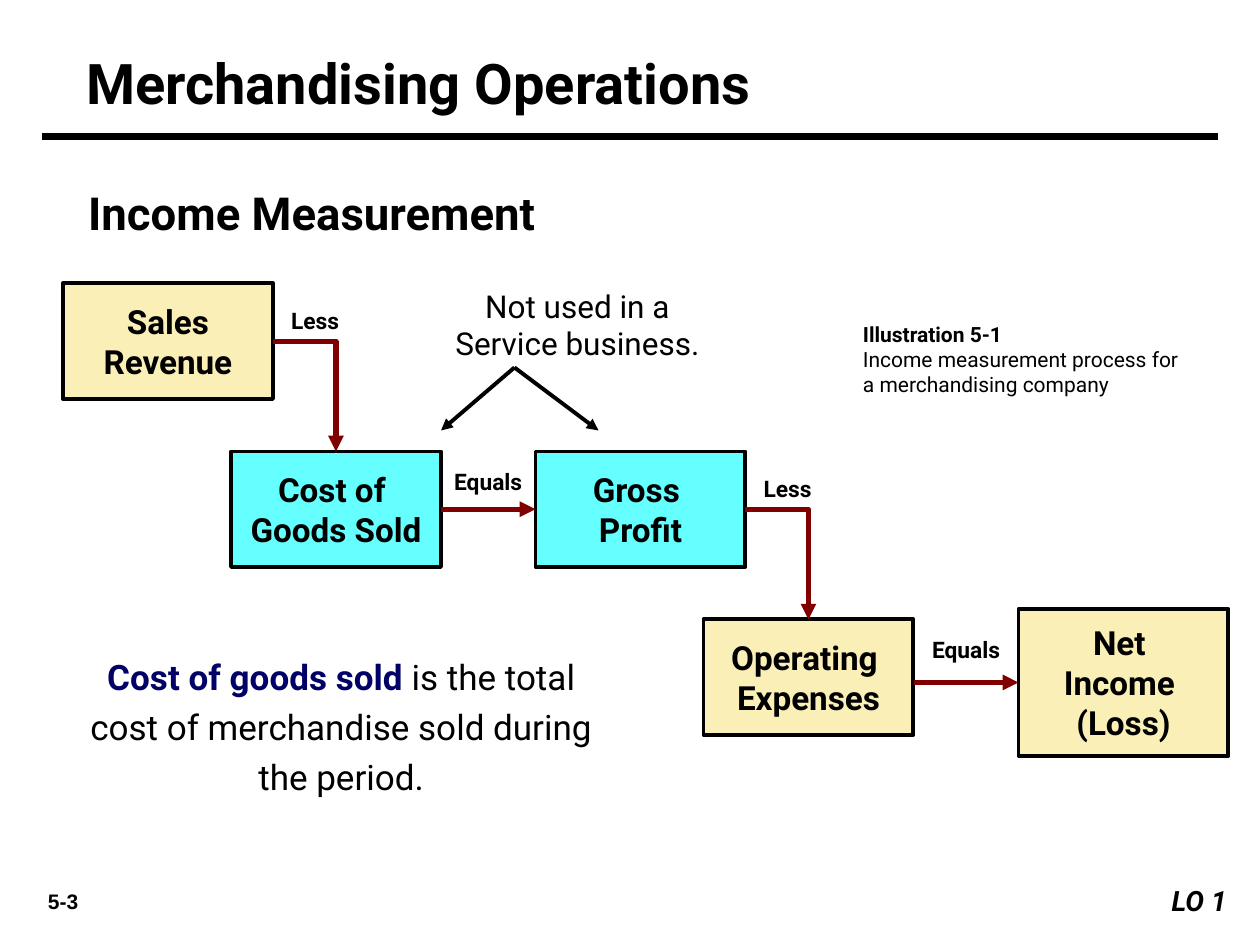
from dataclasses import dataclass

from pptx import Presentation
from pptx import util as u
from pptx.dml.color import RGBColor
from pptx.enum import shapes, text
from pptx.oxml import ns, xmlchemy

COLS, ROWS = 120, 90
LEFT, MID, RIGHT = text.PP_ALIGN.LEFT, text.PP_ALIGN.CENTER, text.PP_ALIGN.RIGHT
TOP, SIDE_L, BASE, SIDE_R = range(4)


@dataclass(frozen=True)
class Theme:
    font: str = "Roboto"
    plain: str = "Arial"
    ink: str = "000000"
    navy: str = "000066"
    red: str = "800000"
    cream: str = "FAEFB6"
    aqua: str = "66FFFF"
    title: int = 32
    head: int = 26
    body: int = 20
    box: int = 19
    note: int = 18
    mark: int = 16
    label: int = 13
    small: int = 12
    edge: float = 2.25
    flow: float = 3
    rule: float = 4.5


class Deck:
    def __init__(self, theme):
        self.theme = theme
        self.show = Presentation()
        self.show.slide_width, self.show.slide_height = u.Inches(10), u.Inches(7.5)
        self.slide = self.show.slides.add_slide(self.show.slide_layouts[5])

    def x(self, col):
        return round(self.show.slide_width * col / COLS)

    def y(self, row):
        return round(self.show.slide_height * row / ROWS)

    def area(self, col, row, wide, high):
        return self.x(col), self.y(row), self.x(wide), self.y(high)

    def fill_text(self, frame, lines, size, align=LEFT, bold=False, font=None, inset=0.1):
        """Each line is a string, or a list of (words, bold, colour) runs."""
        frame.auto_size = text.MSO_AUTO_SIZE.NONE
        frame.margin_left = frame.margin_right = u.Inches(inset)
        frame.margin_top = frame.margin_bottom = u.Inches(0.05)
        for i, line in enumerate(lines):
            para = frame.add_paragraph() if i else frame.paragraphs[0]
            para.alignment = align
            parts = [(line, bold, self.theme.ink)] if isinstance(line, str) else line
            for words, heavy, colour in parts:
                run = para.add_run()
                run.text = words
                run.font.name = font or self.theme.font
                run.font.size = u.Pt(size)
                run.font.bold = heavy
                run.font.color.rgb = RGBColor.from_string(colour)

    def title(self, words, *area):
        shape = self.slide.shapes.title
        shape.left, shape.top, shape.width, shape.height = self.area(*area)
        shape.text_frame.vertical_anchor = text.MSO_ANCHOR.TOP
        self.fill_text(shape.text_frame, [words], self.theme.title, bold=True)

    def text(self, lines, size, *area, **look):
        frame = self.slide.shapes.add_textbox(*self.area(*area)).text_frame
        frame.word_wrap = True
        self.fill_text(frame, lines, size, **look)
        return frame

    def label(self, words, *area):
        self.text([words], self.theme.label, *area, align=MID, bold=True)

    def box(self, lines, colour, col, row, high=11):
        shape = self.slide.shapes.add_shape(
            shapes.MSO_SHAPE.RECTANGLE, *self.area(col, row, 20, high))
        shape.shadow.inherit = False
        shape.fill.solid()
        shape.fill.fore_color.rgb = RGBColor.from_string(colour)
        shape.line.color.rgb = RGBColor.from_string(self.theme.ink)
        shape.line.width = u.Pt(self.theme.edge)
        frame = shape.text_frame
        frame.word_wrap = False
        frame.vertical_anchor = text.MSO_ANCHOR.MIDDLE
        self.fill_text(frame, lines, self.theme.box, MID, True)
        return shape

    def line(self, start, end, colour, width, arrow=True, bent=False):
        """An end is a (col, row) point or a (shape, side) joint."""
        kind = shapes.MSO_CONNECTOR.ELBOW if bent else shapes.MSO_CONNECTOR.STRAIGHT
        link = self.slide.shapes.add_connector(kind, *self.spot(start), *self.spot(end))
        for (what, side), join in ((start, link.begin_connect), (end, link.end_connect)):
            if hasattr(what, "left"):
                join(what, side)
        link.line.color.rgb = RGBColor.from_string(colour)
        link.line.width = u.Pt(width)
        props = link._element.spPr
        if bent:
            props.find(ns.qn("a:prstGeom")).set("prst", "bentConnector2")
        if arrow:
            tail = xmlchemy.OxmlElement("a:tailEnd")
            tail.set("type", "triangle")
            link.line._get_or_add_ln().append(tail)
        props.append(xmlchemy.OxmlElement("a:effectLst"))

    def spot(self, end):
        what, side = end
        if not hasattr(what, "left"):
            return self.x(what), self.y(side)
        across, down = {TOP: (1, 0), SIDE_L: (0, 1), BASE: (1, 2), SIDE_R: (2, 1)}[side]
        return what.left + what.width * across // 2, what.top + what.height * down // 2


def main():
    t = Theme()
    deck = Deck(t)

    deck.title("Merchandising Operations", 7, 4, 100, 7.3)
    deck.line((4, 13), (116, 13), t.ink, t.rule, arrow=False)
    deck.text(["Income Measurement"], t.head, 6, 17, 74, 7, bold=True, inset=0.2)

    deck.text(["Not used in a Service business."], t.note, 40, 26.7, 30, 8.4, align=MID)
    for col in (42, 57):
        deck.line((49, 35), (col, 41), t.ink, t.edge)

    sales = deck.box(["Sales", "Revenue"], t.cream, 6, 27)
    cost = deck.box(["Cost of ", "Goods Sold"], t.aqua, 22, 43)
    gross = deck.box(["Gross ", "Profit"], t.aqua, 51, 43)
    spend = deck.box(["Operating ", "Expenses"], t.cream, 67, 59)
    net = deck.box(["Net ", "Income ", "(Loss)"], t.cream, 97, 58, 14)

    for start, end in ((sales, cost), (gross, spend)):
        deck.line((start, SIDE_R), (end, TOP), t.red, t.flow, bent=True)
    for start, end in (((cost, SIDE_R), gross), ((87, 65), net)):
        deck.line(start, (end, SIDE_L), t.red, t.flow)

    for words, col, row, wide in (("Less", 25, 28.6, 10), ("Less", 70, 44.6, 10),
                                  ("Equals", 41, 44, 11), ("Equals", 87, 60, 10)):
        deck.label(words, col, row, wide, 3.8)

    deck.text([[("Illustration 5-1", True, t.ink)],
               "Income measurement process for a merchandising company"],
              t.small, 81, 30, 34, 8.5)
    frame = deck.text([[("Cost of goods sold ", True, t.navy),
                        ("is the total cost of merchandise sold during the period.",
                         False, t.ink)]], t.body, 7, 61, 51, 15.7, align=MID)
    frame.paragraphs[0].line_spacing = 1.2

    deck.text(["5-3"], t.small, 1, 84, 10, 3.6, align=MID, bold=True, font=t.plain)
    frame = deck.text(["LO 1"], t.mark, 108, 83.6, 10, 4.4, align=RIGHT, bold=True)
    frame.paragraphs[0].runs[0].font.italic = True

    deck.show.save("out.pptx")


if __name__ == "__main__":
    main()
